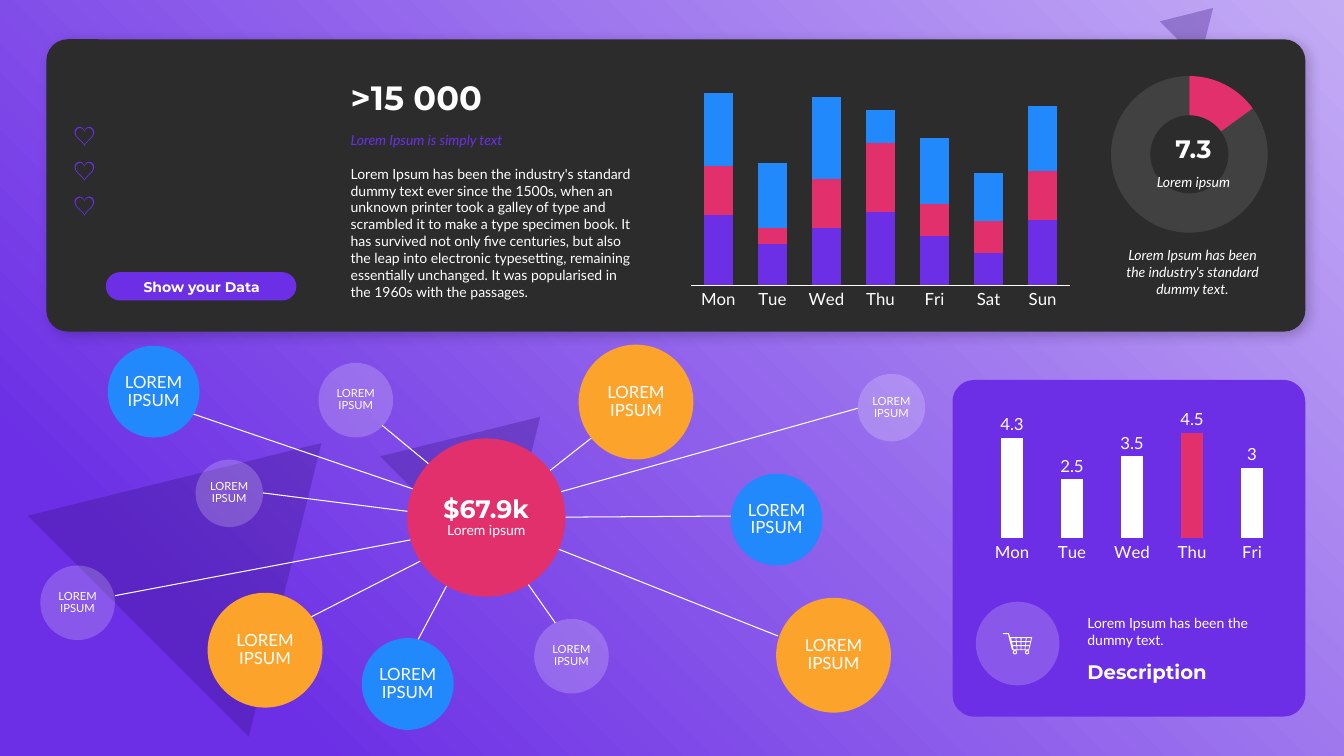
"""Build the weekly data dashboard slide."""
from dataclasses import dataclass
from math import cos, pi, sin

from lxml import etree
from pptx import Presentation
from pptx.chart.data import CategoryChartData
from pptx.dml.color import RGBColor
from pptx.enum.chart import XL_CHART_TYPE, XL_LABEL_POSITION, XL_TICK_MARK
from pptx.enum.shapes import MSO_CONNECTOR, MSO_SHAPE, MSO_SHAPE_TYPE
from pptx.enum.text import MSO_ANCHOR, MSO_AUTO_SIZE, PP_ALIGN
from pptx.oxml.ns import qn
from pptx.util import Pt


@dataclass(frozen=True)
class Theme:
    white: str = "FFFFFF"
    violet: str = "6C2FE5"
    lilac: str = "C4ACF5"
    shade: str = "330F7B"
    dark: str = "2C2C2C"
    pink: str = "E1306C"
    blue: str = "2189FB"
    orange: str = "FCA32C"
    body_font: str = "Lato"
    head_font: str = "Montserrat"
    tiny: int = 8
    body: int = 10
    label: int = 12
    heading: int = 14
    figure: int = 18
    headline: int = 24


theme = Theme()


def paint(fill, colour, opacity=100):
    fill.solid()
    fill.fore_color.rgb = RGBColor.from_string(colour)
    if opacity < 100:
        tone = fill._xPr.find(qn("a:solidFill"))[0]
        etree.SubElement(tone, qn("a:alpha"), val=str(opacity * 1000))


def write(paragraph, text, size, align, heading=False, italic=False, colour=theme.white):
    paragraph.alignment = align
    run = paragraph.add_run()
    run.text = text
    run.font.name = theme.head_font if heading else theme.body_font
    run.font.size = Pt(size)
    run.font.bold = heading
    run.font.italic = italic
    run.font.color.rgb = RGBColor.from_string(colour)


deck = Presentation()
deck.slide_width, deck.slide_height = Pt(960), Pt(540)
slide = deck.slides.add_slide(deck.slide_layouts[6])
shapes = slide.shapes

backdrop = shapes.add_shape(MSO_SHAPE.RECTANGLE, 0, 0, Pt(960), Pt(540))
backdrop.fill.gradient()
for stop, colour, position in zip(backdrop.fill.gradient_stops, (theme.lilac, theme.violet), (0, 0.85)):
    stop.color.rgb = RGBColor.from_string(colour)
    stop.position = position
gradient = backdrop._element.spPr.find(qn("a:gradFill"))
direction = gradient.find(qn("a:lin"))
radial = etree.Element(qn("a:path"), path="circle")
etree.SubElement(radial, qn("a:fillToRect"), l="100000", b="100000")
gradient.replace(direction, radial)

for left, top, width, height in ((52.6, 289.4, 223.2, 185), (289.4, 283, 121.7, 100.8), (834.5, 0.7, 40.3, 33.8)):
    triangle = shapes.add_shape(MSO_SHAPE.ISOSCELES_TRIANGLE, Pt(left), Pt(top), Pt(width), Pt(height))
    triangle.rotation = 45
    paint(triangle.fill, theme.shade, 30)

rounded = []
for left, top, width, height, corner, colour in (
    (33.1, 28.1, 899.3, 208.8, 0.073, theme.dark),
    (75.6, 194.4, 136.1, 20.2, 0.5, theme.violet),
    (680.4, 271.4, 252, 240.5, 0.065, theme.violet),
):
    block = shapes.add_shape(MSO_SHAPE.ROUNDED_RECTANGLE, Pt(left), Pt(top), Pt(width), Pt(height))
    block.adjustments[0] = corner
    paint(block.fill, colour)
    rounded.append(block)
panel = rounded[0]

cart_badge = shapes.add_shape(MSO_SHAPE.OVAL, Pt(697), Pt(429.8), Pt(59.8), Pt(59.8))
paint(cart_badge.fill, theme.white, 20)

turn = [2 * pi * step / 48 for step in range(48)]
heart = [
    [(7 + k * 7 * sin(t) ** 3, 6.9 - k * 0.48 * (13 * cos(t) - 5 * cos(2 * t) - 2 * cos(3 * t) - cos(4 * t) + 2.5))
     for t in turn]
    for k in (1, 0.89)
]
cart = [[(0, 0), (4.3, 0), (5, 2.9), (20.9, 2.9), (18.7, 12.2), (6.5, 12.2), (3.6, 0.7), (0, 0.7)]]
for row in range(3):
    for column in range(4):
        upper, lower = 2.9 * row, 2.9 * row + 2.2
        near, far = 0.26 * column, 0.26 * column + 0.22
        cart.append([
            (5.8 + 0.22 * drop + part * (14.4 - 0.46 * drop), 3.6 + drop)
            for part, drop in ((near, upper), (far, upper), (far, lower), (near, lower))
        ])
cart += [[(axle + r * cos(t), 13.7 + r * sin(t)) for t in turn] for axle in (8.6, 17.3) for r in (1.5, 0.8)]

icons = [(heart, 53.3, 90.7 + 24.9 * row, theme.violet) for row in range(3)]
icons.append((cart, 716.4, 452.2, theme.white))
for contours, left, top, colour in icons:
    pen = None
    for contour in contours:
        points = [(Pt(left + x), Pt(top + y)) for x, y in contour]
        if pen is None:
            pen = shapes.build_freeform(*points[0])
        else:
            pen.move_to(*points[0])
        pen.add_line_segments(points[1:], close=True)
    paint(pen.convert_to_shape().fill, colour)

bubble_kinds = {
    "large": (82, theme.orange, 100, theme.label),
    "medium": (65.5, theme.blue, 100, theme.label),
    "small": (53.3, theme.white, 20, theme.tiny),
    "tiny": (48.2, theme.white, 20, theme.tiny),
}
bubbles = [
    ("medium", 77, 247, (126, 291.6), (307.4, 353.5)),
    ("tiny", 139.7, 328.3, (187.9, 352.1), (301, 366.5)),
    ("small", 28.8, 403.9, (82.1, 425.5), (303.1, 383.8)),
    ("large", 148.3, 423.4, (216.7, 443.5), (309.6, 396)),
    ("small", 227.5, 259.2, (272.9, 303.8), (313.9, 337.7)),
    ("medium", 258.5, 455.8, (298.1, 457.9), (324, 409)),
    ("small", 381.6, 442.1, (396.7, 445), (370.8, 408.2)),
    ("large", 413.3, 246.2, (424.8, 311), (384.5, 342.7)),
    ("tiny", 612.7, 267.1, (612.7, 291.6), (390.2, 354.2)),
    ("medium", 522, 338.4, (522.7, 368.6), (403.9, 369.4)),
    ("large", 554.4, 427, (555.8, 454.3), (390.2, 388.8)),
]
for kind, left, top, rim, hub_rim in bubbles:
    spoke = shapes.add_connector(MSO_CONNECTOR.STRAIGHT, *map(Pt, rim + hub_rim))
    spoke.line.width = Pt(0.75)
    spoke.line.color.rgb = RGBColor.from_string(theme.white)
    etree.SubElement(spoke._element.spPr, qn("a:effectLst"))

circles = [(left, top, *bubble_kinds[kind][:3], [("LOREM IPSUM", bubble_kinds[kind][3], False)])
           for kind, left, top, rim, hub_rim in bubbles]
circles.append((290.9, 313.2, 113, theme.pink, 100,
                [("$67.9k", theme.figure, True), ("Lorem ipsum", theme.body, False)]))
for left, top, size, colour, opacity, lines in circles:
    circle = shapes.add_shape(MSO_SHAPE.OVAL, Pt(left), Pt(top), Pt(size), Pt(size))
    paint(circle.fill, colour, opacity)
    frame = circle.text_frame
    frame.word_wrap = True
    frame.vertical_anchor = MSO_ANCHOR.MIDDLE
    frame.margin_left = frame.margin_right = 0
    for index, (text, size, heading) in enumerate(lines):
        paragraph = frame.add_paragraph() if index else frame.paragraphs[0]
        paragraph.line_spacing = 0.89
        write(paragraph, text, size, PP_ALIGN.CENTER, heading)

for shape in shapes:
    if shape.shape_type in (MSO_SHAPE_TYPE.AUTO_SHAPE, MSO_SHAPE_TYPE.FREEFORM):
        shape.shadow.inherit = False
        shape.line.fill.background()
glow = etree.SubElement(panel._element.spPr.find(qn("a:effectLst")), qn("a:outerShdw"),
                        blurRad=str(Pt(8)), dist=str(Pt(3)), dir="2700000", algn="tl", rotWithShape="0")
etree.SubElement(etree.SubElement(glow, qn("a:srgbClr"), val="000000"), qn("a:alpha"), val="20000")

charts = []
for kind, box, size, categories, series in (
    (XL_CHART_TYPE.COLUMN_STACKED, (488.2, 36.7, 281.5, 187.9), theme.label,
     ("Mon", "Tue", "Wed", "Thu", "Fri", "Sat", "Sun"),
     ((86, 50, 70, 90, 60, 40, 80), (60, 20, 60, 84, 40, 38, 60), (90, 80, 100, 40, 80, 60, 80))),
    (XL_CHART_TYPE.DOUGHNUT, (789.1, 54, 123.8, 112.3), theme.body, ("1", "2"), ((15, 85),)),
    (XL_CHART_TYPE.COLUMN_CLUSTERED, (697, 292.3, 223.2, 110.9), theme.label,
     ("Mon", "Tue", "Wed", "Thu", "Fri"), ((4.3, 2.5, 3.5, 4.5, 3),)),
):
    data = CategoryChartData()
    data.categories = categories
    for number, values in enumerate(series, 1):
        data.add_series(f"Series {number}", values)
    chart = shapes.add_chart(kind, *map(Pt, box), data).chart
    chart.has_legend = chart.has_title = False
    chart.font.name = theme.body_font
    chart.font.size = Pt(size)
    chart.font.color.rgb = RGBColor.from_string(theme.white)
    charts.append(chart)
week, share, days = charts

for chart, gap, ceiling, colours in (
    (week, 90, 280, (theme.violet, theme.pink, theme.blue)),
    (days, 171, 5.35, (theme.white,)),
):
    plot = chart.plots[0]
    plot.gap_width = gap
    plot.vary_by_categories = False
    chart.category_axis.major_tick_mark = XL_TICK_MARK.NONE
    chart.value_axis.visible = chart.value_axis.has_major_gridlines = False
    chart.value_axis.minimum_scale, chart.value_axis.maximum_scale = 0, ceiling
    for bars, colour in zip(plot.series, colours):
        paint(bars.format.fill, colour)
week.plots[0].overlap = 100
week.category_axis.format.line.color.rgb = RGBColor.from_string(theme.white)
days.category_axis.format.line.fill.background()
paint(days.plots[0].series[0].points[3].format.fill, theme.pink)
days.plots[0].has_data_labels = True
days.plots[0].data_labels.show_value = True
days.plots[0].data_labels.position = XL_LABEL_POSITION.OUTSIDE_END

for index, (colour, opacity) in enumerate(((theme.pink, 100), (theme.white, 10))):
    slice_format = share.plots[0].series[0].points[index].format
    paint(slice_format.fill, colour, opacity)
    slice_format.line.fill.background()
plot_area = share._chartSpace.chart.plotArea
plot_area.find(".//" + qn("c:holeSize")).set("val", "80")
for layout in plot_area.findall(qn("c:layout")):
    plot_area.remove(layout)
layout = etree.Element(qn("c:layout"))
plot_area.insert(0, layout)
manual = etree.SubElement(layout, qn("c:manualLayout"))
for tag, value in (("layoutTarget", "inner"), ("xMode", "edge"), ("yMode", "edge"),
                   ("x", "0.027"), ("y", "0.003"), ("w", "0.923"), ("h", "0.997")):
    etree.SubElement(manual, qn("c:" + tag), val=value)

story = ("Lorem Ipsum has been the industry's standard dummy text ever since the 1500s, when an unknown printer took "
         "a galley of type and scrambled it to make a type specimen book. It has survived not only five centuries, "
         "but also the leap into electronic typesetting, remaining essentially unchanged. It was popularised in the "
         "1960s with the passages.")
LEFT, CENTER = PP_ALIGN.LEFT, PP_ALIGN.CENTER
TOP, MIDDLE, BOTTOM = MSO_ANCHOR.TOP, MSO_ANCHOR.MIDDLE, MSO_ANCHOR.BOTTOM
for box, anchor, after, words in (
    ((243.4, 90.7, 217.4, 19.4), TOP, 12, ("Lorem Ipsum is simply text", theme.body, LEFT, False, True, theme.violet)),
    ((243.4, 51.1, 217.4, 36), BOTTOM, 0, (">15 000", theme.headline, LEFT, True)),
    ((243.4, 114.5, 217.4, 104.4), TOP, 12, (story, theme.body, LEFT)),
    ((81.4, 195.1, 125.3, 19.4), MIDDLE, 0, ("Show your Data", theme.body, CENTER, True)),
    ((812.9, 120.2, 79.2, 19.4), TOP, 6, ("Lorem ipsum", theme.body, CENTER, False, True)),
    ((812.9, 91.4, 79.2, 28.8), BOTTOM, 6, ("7.3", theme.figure, CENTER, True)),
    ((794.2, 172.8, 115.2, 43.9), TOP, 12,
     ("Lorem Ipsum has been the industry's standard dummy text.", theme.body, CENTER, False, True)),
    ((769.7, 435.6, 160.6, 31.7), TOP, 0, ("Lorem Ipsum has been the dummy text.", theme.body, LEFT)),
    ((769.7, 467.3, 160.6, 24.5), BOTTOM, 0, ("Description", theme.heading, LEFT, True)),
):
    frame = shapes.add_textbox(*map(Pt, box)).text_frame
    frame.word_wrap = True
    frame.auto_size = MSO_AUTO_SIZE.SHAPE_TO_FIT_TEXT
    frame.vertical_anchor = anchor
    frame.paragraphs[0].space_after = Pt(after)
    write(frame.paragraphs[0], *words)

deck.save("out.pptx")
